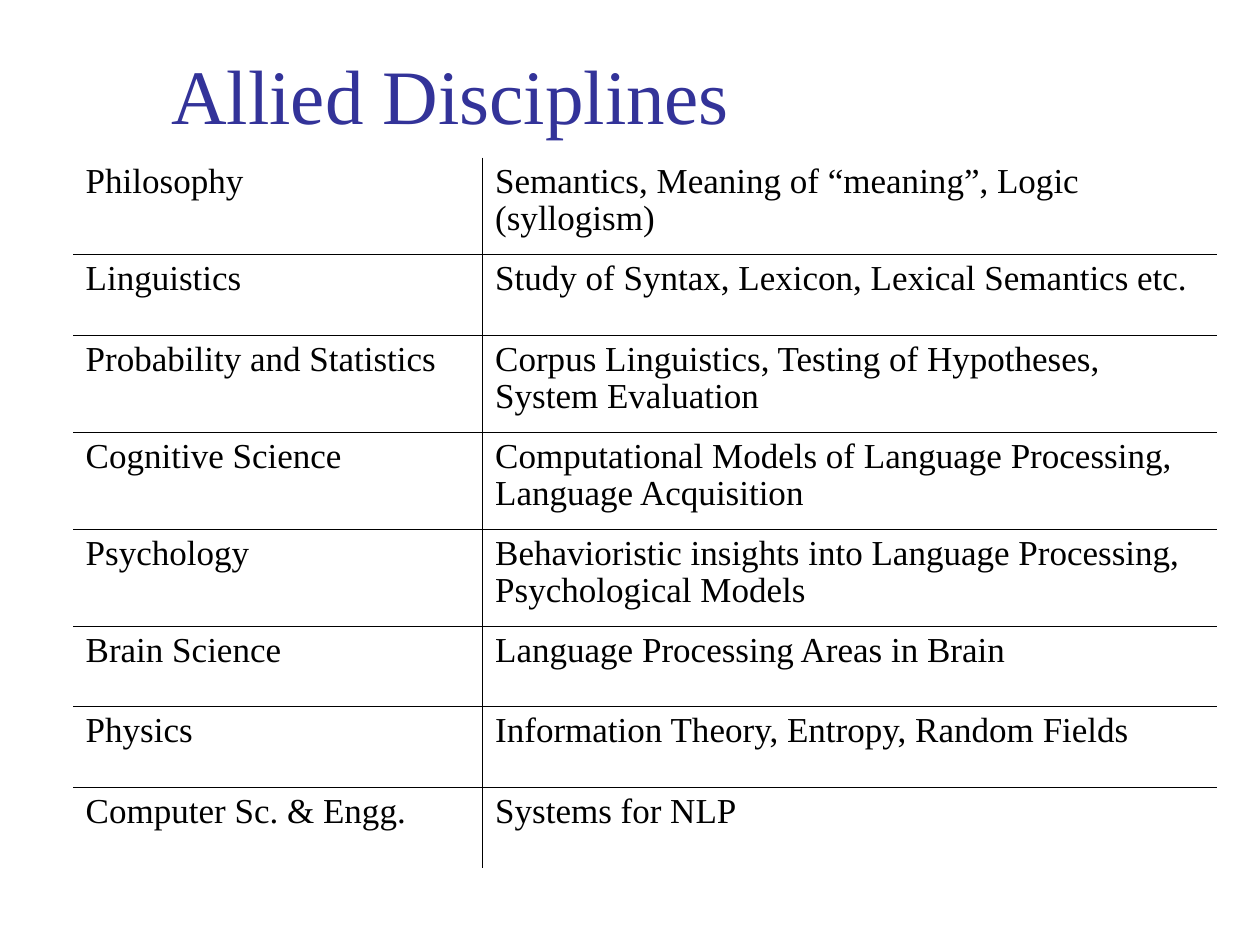
from lxml.etree import SubElement
from pptx import Presentation
from pptx.dml.color import RGBColor
from pptx.enum.text import MSO_ANCHOR, MSO_AUTO_SIZE, PP_ALIGN
from pptx.oxml.ns import qn
from pptx.util import Inches, Pt

COLORS = {"title": "333399", "text": "000000", "rule": "000000"}
FONT = "Times New Roman"
RULE_WIDTH = Pt(0.45)
COLUMN_WIDTHS = (3.25, 5.83)
SHORT_ROW, TALL_ROW = 0.64, 0.77
DISCIPLINES = [
    ("Philosophy", "Semantics, Meaning of “meaning”, Logic (syllogism)", TALL_ROW),
    ("Linguistics", "Study of Syntax, Lexicon, Lexical Semantics etc.", SHORT_ROW),
    ("Probability and Statistics",
     "Corpus Linguistics, Testing of Hypotheses, System Evaluation", TALL_ROW),
    ("Cognitive Science",
     "Computational Models of Language Processing, Language Acquisition", TALL_ROW),
    ("Psychology",
     "Behavioristic insights into Language Processing, Psychological Models", TALL_ROW),
    ("Brain Science", "Language Processing Areas in Brain", SHORT_ROW),
    ("Physics", "Information Theory, Entropy, Random Fields", SHORT_ROW),
    ("Computer Sc. & Engg.", "Systems for NLP", SHORT_ROW),
]


def write_text(frame, text, size, color, spacing=1.0):
    """Write one left-aligned paragraph into a text frame."""
    para = frame.paragraphs[0]
    para.alignment = PP_ALIGN.LEFT
    para.line_spacing = spacing
    span = para.add_run()
    span.text = text
    span.font.name = FONT
    span.font.size = Pt(size)
    span.font.color.rgb = RGBColor.from_string(COLORS[color])


def set_borders(cell, visible):
    """Draw the named sides of a cell and hide the others."""
    properties = cell._tc.get_or_add_tcPr()
    for side in "LRTB":
        line = SubElement(properties, qn(f"a:ln{side}"), w=str(RULE_WIDTH))
        if side in visible:
            fill = SubElement(line, qn("a:solidFill"))
            SubElement(fill, qn("a:srgbClr"), val=COLORS["rule"])
        else:
            SubElement(line, qn("a:noFill"))


def add_title(page, box, text):
    """Place the title at the bottom of its box."""
    title = page.shapes.title
    title.left, title.top, title.width, title.height = map(Inches, box)
    frame = title.text_frame
    frame.auto_size = MSO_AUTO_SIZE.NONE
    frame.word_wrap = True
    frame.vertical_anchor = MSO_ANCHOR.BOTTOM
    write_text(frame, text, size=44, color="title")


def add_discipline_table(page, box):
    """Place the table of disciplines with inner rules only."""
    last_row, last_column = len(DISCIPLINES) - 1, len(COLUMN_WIDTHS) - 1
    table = page.shapes.add_table(
        last_row + 1, last_column + 1, *map(Inches, box)).table
    table.first_row = table.horz_banding = False
    for column, width in zip(table.columns, COLUMN_WIDTHS):
        column.width = Inches(width)
    for row, (*texts, height) in enumerate(DISCIPLINES):
        table.rows[row].height = Inches(height)
        for column, text in enumerate(texts):
            cell = table.cell(row, column)
            sides = {"L": column > 0, "R": column < last_column,
                     "T": row > 0, "B": row < last_row}
            set_borders(cell, [side for side, inner in sides.items() if inner])
            cell.fill.background()
            write_text(cell.text_frame, text, size=20, color="text", spacing=0.96)


def main():
    """Build the deck and save it."""
    deck = Presentation()
    deck.slide_width, deck.slide_height = Inches(10), Inches(7.5)
    page = deck.slides.add_slide(deck.slide_layouts[5])
    add_title(page, (1.26, 0.23, 8.52, 0.93), "Allied Disciplines")
    table_height = sum(height for *_, height in DISCIPLINES)
    add_discipline_table(page, (0.58, 1.25, sum(COLUMN_WIDTHS), table_height))
    deck.save("out.pptx")


if __name__ == "__main__":
    main()
